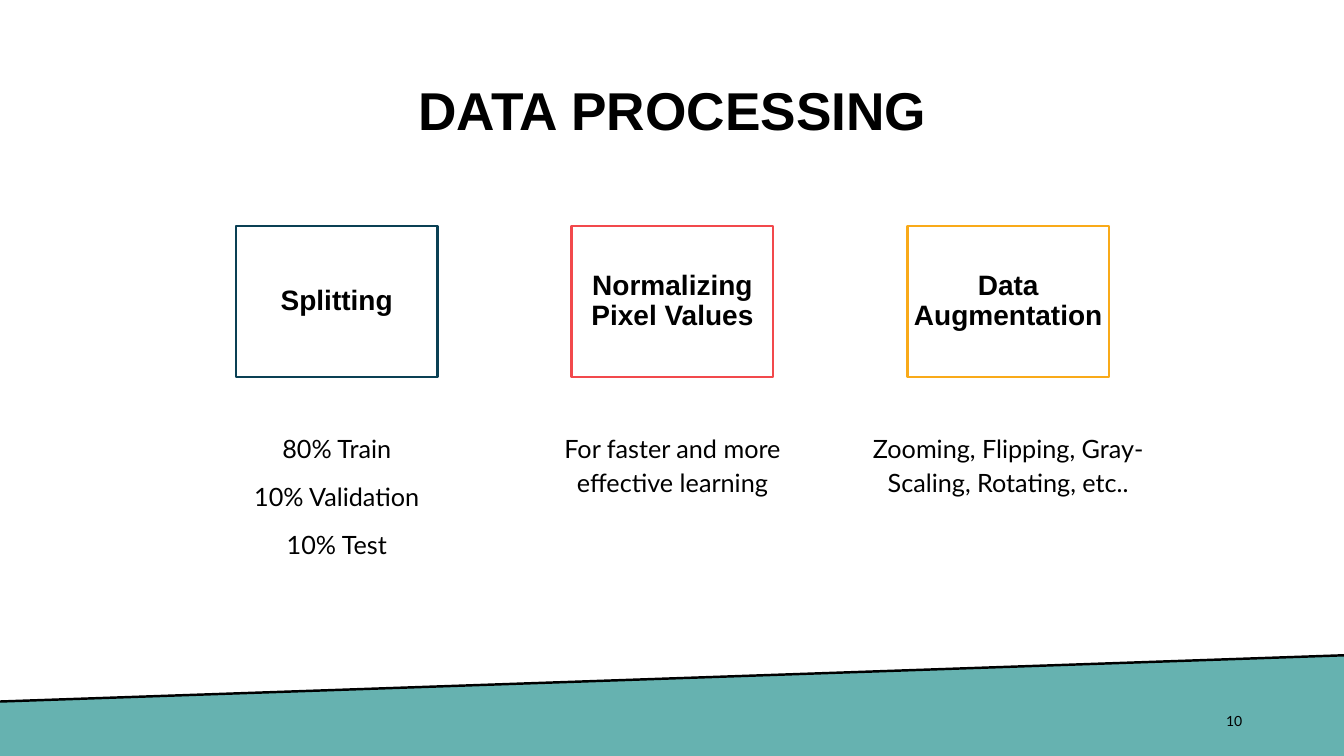
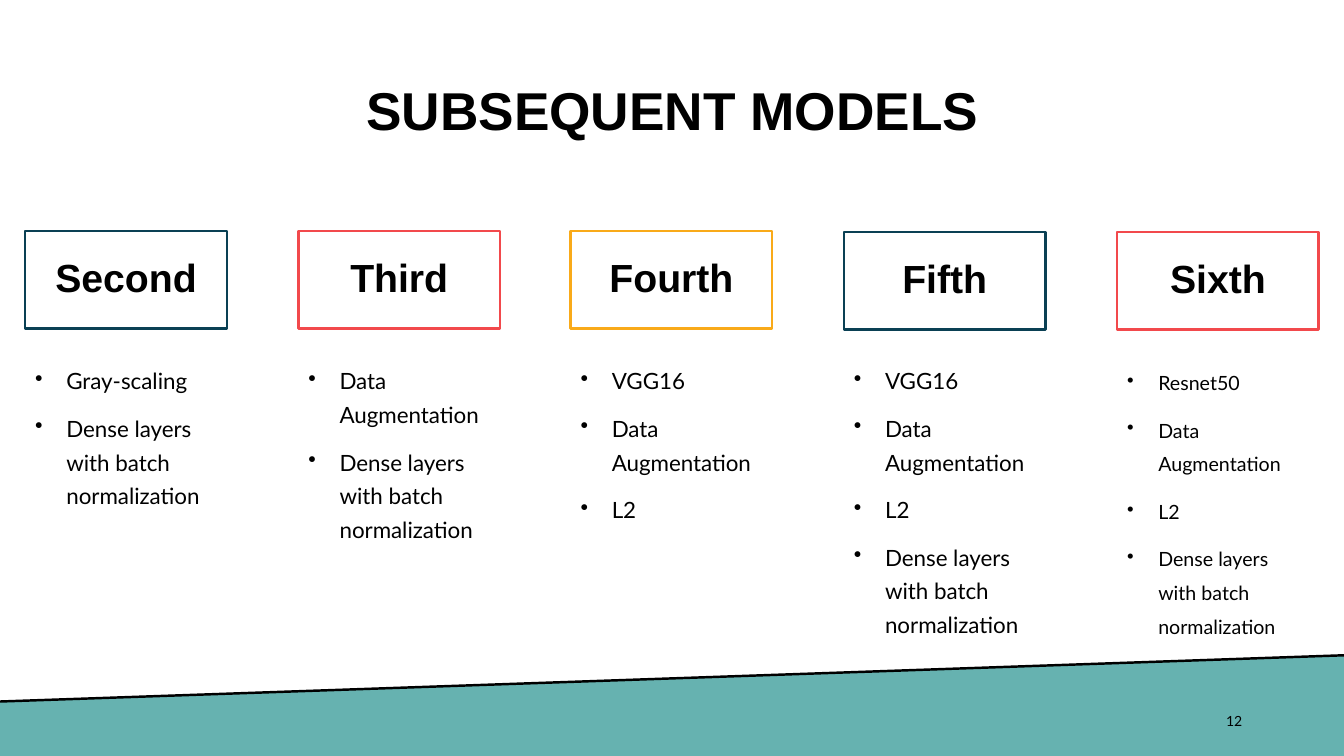
from dataclasses import dataclass

import pptx
import pptx.dml.color
import pptx.enum.shapes
import pptx.enum.text
import pptx.oxml
import pptx.oxml.ns
import pptx.presentation
import pptx.shapes.autoshape
import pptx.slide
import pptx.text.text
import pptx.util

PX = 9144  # EMU per px, at 100 px to the inch
WIDE, HIGH = 1333, 750
ALIGN = pptx.enum.text.PP_ALIGN
ANCHOR = pptx.enum.text.MSO_ANCHOR
TITLE_ONLY = 5


@dataclass(frozen=True)
class Theme:
    ink: str = "000000"
    band: str = "66B2B0"
    accents: tuple[str, ...] = ("0A4054", "F2494C", "F9AA19")
    head: str = "Arial"
    body: str = "Lato"
    title: int = 38
    number: int = 10
    stroke: float = 1.75
    lead: int = 24
    gap: int = 10


@dataclass(frozen=True)
class Card:
    label: tuple[str, ...]
    notes: tuple[str, ...]
    size: int
    drop: int = 0


@dataclass(frozen=True)
class Grid:
    first: int
    last: int
    top: int
    width: int
    height: int
    label: int
    note_top: int
    note_width: int
    note_height: int
    bullets: bool


@dataclass(frozen=True)
class Page:
    title: str
    number: str
    grid: Grid
    cards: tuple[Card, ...]


THEME = Theme()
DENSE = "Dense layers with batch normalization"
AUGMENT = "Data Augmentation"

PAGES = (
    Page(
        "DATA PROCESSING", "10",
        Grid(234, 900, 224, 200, 150, 20, 422, 300, 175, False),
        (
            Card(("Splitting",), ("80% Train", "10% Validation", "10% Test"), 18),
            Card(("Normalizing Pixel Values",),
                 ("For faster and more effective learning",), 18),
            Card(("Data", "Augmentation"),
                 ("Zooming, Flipping, Gray-Scaling, Rotating, etc..",), 18),
        ),
    ),
    Page(
        "SUBSEQUENT MODELS", "12",
        Grid(25, 1108, 229, 200, 97, 28, 353, 200, 271, True),
        (
            Card(("Second",), ("Gray-scaling", DENSE), 16),
            Card(("Third",), (AUGMENT, DENSE), 16),
            Card(("Fourth",), ("VGG16", AUGMENT, "L2"), 16),
            Card(("Fifth",), ("VGG16", AUGMENT, "L2", DENSE), 16, 1),
            Card(("Sixth",), ("Resnet50", AUGMENT, "L2", DENSE), 14, 1),
        ),
    ),
)


def px(*values: int) -> list[pptx.util.Emu]:
    return [pptx.util.Emu(value * PX) for value in values]


def color(code: str) -> pptx.dml.color.RGBColor:
    return pptx.dml.color.RGBColor.from_string(code)


# Text
def dot(para: pptx.text.text._Paragraph, indent: int = 31) -> None:
    props = para._p.get_or_add_pPr()
    props.set("marL", str(indent * PX))
    props.set("indent", str(-indent * PX))
    mark = pptx.oxml.parse_xml(
        f'<a:buChar {pptx.oxml.ns.nsdecls("a")} char="•"/>')
    props.append(mark)


def write(
    frame: pptx.text.text.TextFrame,
    lines: tuple[str, ...],
    *,
    size: int,
    face: str,
    bold: bool = False,
    align: ALIGN = ALIGN.CENTER,
    anchor: ANCHOR = ANCHOR.MIDDLE,
    inset: tuple[int, int] = (10, 5),
    lead: float | pptx.util.Length = 1.0,
    gap: int = 0,
    bullets: bool = False,
) -> None:
    frame.word_wrap = True
    frame.auto_size = pptx.enum.text.MSO_AUTO_SIZE.NONE
    frame.vertical_anchor = anchor
    side, edge = px(*inset)
    frame.margin_left = frame.margin_right = side
    frame.margin_top = frame.margin_bottom = edge
    for index, line in enumerate(lines):
        para = frame.add_paragraph() if index else frame.paragraphs[0]
        if bullets:
            dot(para)
        para.alignment = align
        para.line_spacing = lead
        para.space_before = pptx.util.Pt(gap if index else 0)
        run = para.add_run()
        run.text = line
        run.font.name = face
        run.font.size = pptx.util.Pt(size)
        run.font.bold = bold
        run.font.color.rgb = color(THEME.ink)


# Shared frame: band, title and page number
def add_band(slide: pptx.slide.Slide) -> None:
    path = slide.shapes.build_freeform(-1, 696, scale=PX)
    path.add_line_segments([(1335, 650), (1335, 750), (0, 753)], close=True)
    band = path.convert_to_shape()
    band.shadow.inherit = False
    band.fill.solid()
    band.fill.fore_color.rgb = color(THEME.band)
    band.line.fill.background()

    edge = slide.shapes.add_connector(
        pptx.enum.shapes.MSO_CONNECTOR.STRAIGHT, *px(1335, 650, -1, 696))
    edge.line.color.rgb = color(THEME.ink)
    edge.line.width = pptx.util.Pt(THEME.stroke)
    edge.element.spPr.append(
        pptx.oxml.parse_xml(f'<a:effectLst {pptx.oxml.ns.nsdecls("a")}/>'))


def add_frame(slide: pptx.slide.Slide, page: Page) -> None:
    add_band(slide)
    title = slide.shapes.title
    title.left, title.top, title.width, title.height = px(92, 40, 1150, 145)
    write(title.text_frame, (page.title,), size=THEME.title,
          face=THEME.head, bold=True, lead=0.9)
    number = slide.shapes.add_textbox(*px(942, 695, 300, 40))
    write(number.text_frame, (page.number,), size=THEME.number,
          face=THEME.body, align=ALIGN.RIGHT)


# Columns: an outlined label above its notes
def add_card(
    slide: pptx.slide.Slide, card: Card, grid: Grid, left: int, accent: str
) -> None:
    box = slide.shapes.add_shape(
        pptx.enum.shapes.MSO_SHAPE.RECTANGLE,
        *px(left, grid.top + card.drop, grid.width, grid.height))
    box.shadow.inherit = False
    box.fill.background()
    box.line.color.rgb = color(accent)
    box.line.width = pptx.util.Pt(THEME.stroke)
    write(box.text_frame, card.label, size=grid.label, face=THEME.head,
          bold=True, inset=(0, 0), lead=0.9)

    shift = (grid.note_width - grid.width) // 2
    notes = slide.shapes.add_textbox(
        *px(left - shift, grid.note_top, grid.note_width, grid.note_height))
    write(notes.text_frame, card.notes, size=card.size, face=THEME.body,
          align=ALIGN.LEFT if grid.bullets else ALIGN.CENTER,
          anchor=ANCHOR.TOP, lead=pptx.util.Pt(THEME.lead),
          gap=THEME.gap, bullets=grid.bullets)


def add_page(deck: pptx.presentation.Presentation, page: Page) -> None:
    slide = deck.slides.add_slide(deck.slide_layouts[TITLE_ONLY])
    add_frame(slide, page)
    grid = page.grid
    pitch = (grid.last - grid.first) / (len(page.cards) - 1)
    for index, card in enumerate(page.cards):
        accent = THEME.accents[index % len(THEME.accents)]
        add_card(slide, card, grid, round(grid.first + index * pitch), accent)


def main() -> None:
    deck = pptx.Presentation()
    deck.slide_width, deck.slide_height = px(WIDE, HIGH)
    for page in PAGES:
        add_page(deck, page)
    deck.save("out.pptx")


if __name__ == "__main__":
    main()
